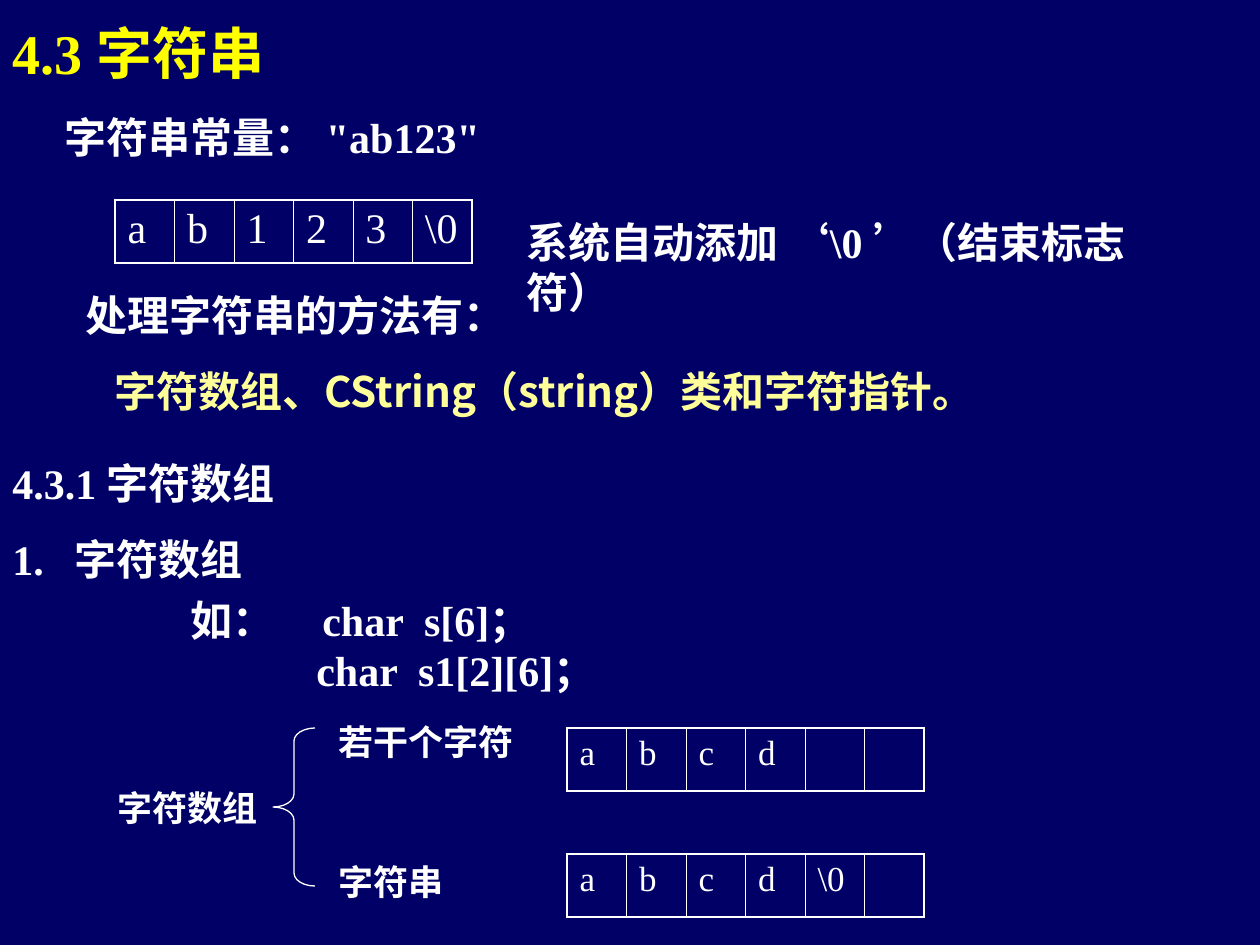
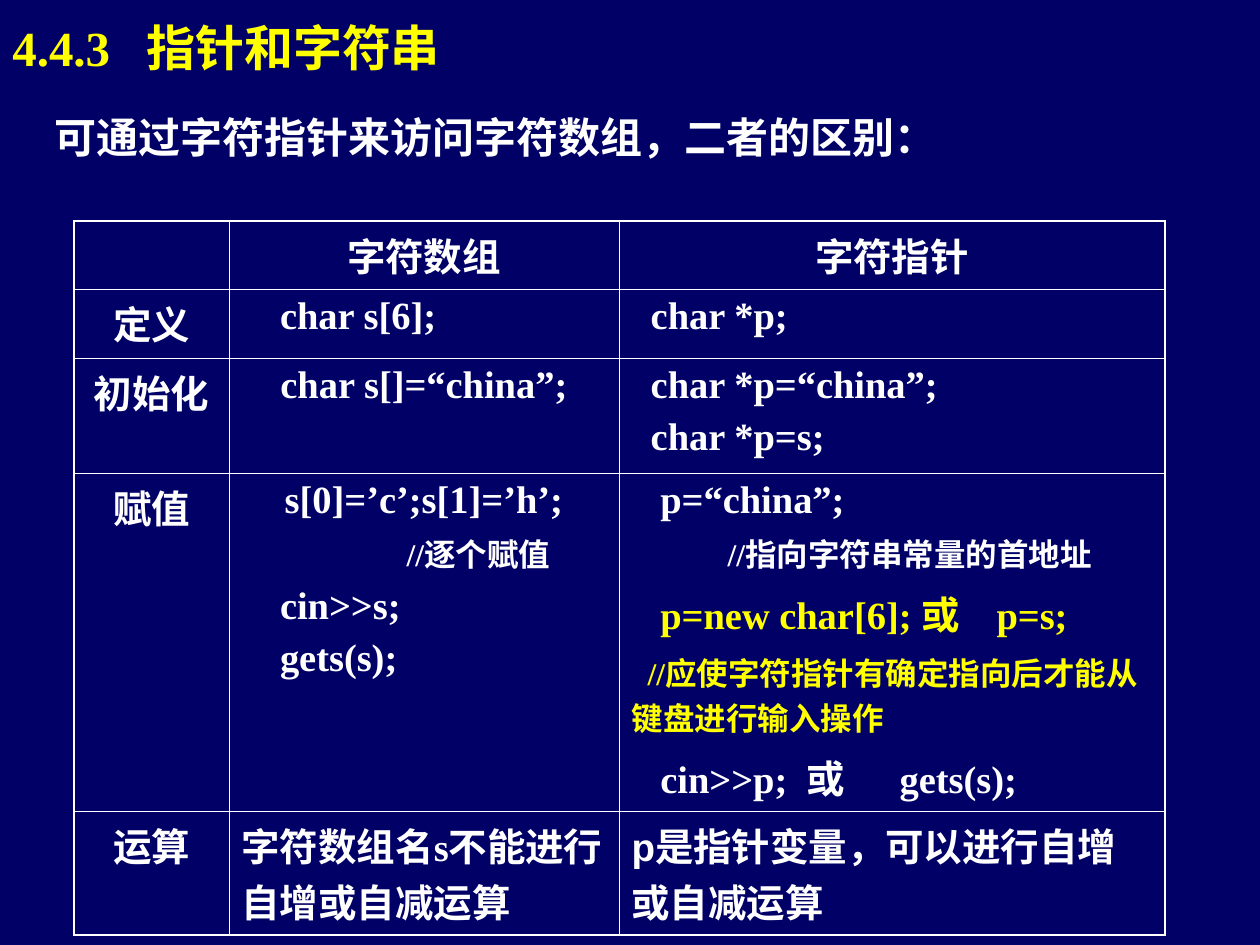
import collections

import lxml.etree
import pptx
import pptx.dml.color
import pptx.enum.shapes
import pptx.enum.text
import pptx.oxml.ns
import pptx.util

NAVY = pptx.dml.color.RGBColor(0x00, 0x00, 0x66)
WHITE = pptx.dml.color.RGBColor(0xFF, 0xFF, 0xFF)
YELLOW = pptx.dml.color.RGBColor(0xFF, 0xFF, 0x00)
PALE_YELLOW = pptx.dml.color.RGBColor(0xFF, 0xFF, 0x99)
SERIF = "Times New Roman"
HAN = "Noto Sans CJK SC"
SANS = "Arial"
EMU_PER_PX = 914400 / 126
OUTER_LINE = pptx.util.Pt(1.08)
INNER_LINE = pptx.util.Pt(0.45)
LEFT = pptx.enum.text.PP_ALIGN.LEFT
CENTER = pptx.enum.text.PP_ALIGN.CENTER
TOP = pptx.enum.text.MSO_ANCHOR.TOP
MIDDLE = pptx.enum.text.MSO_ANCHOR.MIDDLE

# runs is a list of (text, font); indent and first are px.
# With a hanging indent, a tab in the text jumps to the indent.
Para = collections.namedtuple(
    "Para", "runs size color before align indent first bold",
    defaults=(24, WHITE, 0, LEFT, 0, 0, True))


def px(length):
    return pptx.util.Emu(round(length * EMU_PER_PX))


def write(frame, paras):
    """Fill a text frame with Para records; the first gets no space before."""
    for number, para in enumerate(paras):
        paragraph = frame.add_paragraph() if number else frame.paragraphs[0]
        paragraph.alignment = para.align
        paragraph.space_before = pptx.util.Pt(para.before if number else 0)
        properties = paragraph._p.get_or_add_pPr()
        properties.set("marL", str(px(para.indent)))
        properties.set("indent", str(px(para.first)))
        for text, font in para.runs:
            span = paragraph.add_run()
            span.text = text
            span.font.size = pptx.util.Pt(para.size)
            span.font.bold = para.bold
            span.font.color.rgb = para.color
            span.font.name = font
            lxml.etree.SubElement(span._r.get_or_add_rPr(),
                                  pptx.oxml.ns.qn("a:ea"), typeface=HAN)


deck = pptx.Presentation()
deck.slide_width = px(1260)
deck.slide_height = px(945)
background = deck.slide_master.background.fill
background.solid()
background.fore_color.rgb = NAVY
strings_slide = deck.slides.add_slide(deck.slide_layouts[6])
pointers_slide = deck.slides.add_slide(deck.slide_layouts[6])

# Text: slide, (left, top, width, height), anchor, paragraphs
text_boxes = [
    (strings_slide, (0, 0, 1071, 105), MIDDLE,
     [Para([("4.3 ", SERIF), ("字符串", HAN)], 32, YELLOW)]),
    (strings_slide, (52, 105, 1144, 140), TOP,
     [Para([('字符串常量： "ab123"', SERIF)])]),
    (strings_slide, (514, 210, 693, 113), TOP,
     [Para([("系统自动添加 ‘\\0 ’（结束标志符）", SERIF)])]),
    (strings_slide, (73, 283, 1187, 140), TOP,
     [Para([("处理字符串的方法有：", HAN)]),
      Para([("字符数组、CString（string）类和字符指针。", HAN)],
           color=PALE_YELLOW, before=15, indent=29)]),
    (strings_slide, (0, 451, 1040, 140), TOP,
     [Para([("4.3.1 ", SERIF), ("字符数组", HAN)]),
      Para([("1.\t字符数组", SERIF)], before=15, indent=62, first=-62)]),
    (strings_slide, (178, 588, 935, 113), TOP,
     [Para([("如：\tchar  s[6]；", SERIF)], indent=132, first=-132),
      Para([("char  s1[2][6]；", SERIF)], indent=126)]),
    (strings_slide, (105, 780, 170, 55), TOP,
     [Para([("字符数组", SERIF)], 20)]),
    (strings_slide, (326, 714, 210, 55), TOP,
     [Para([("若干个字符", SERIF)], 20)]),
    (strings_slide, (326, 854, 140, 55), TOP,
     [Para([("字符串", SERIF)], 20)]),
    (pointers_slide, (0, 0, 1071, 94), MIDDLE,
     [Para([("4.4.3\t", SERIF), ("指针和字符串", HAN)], 28, YELLOW,
           indent=134, first=-134)]),
    (pointers_slide, (42, 105, 1071, 84), TOP,
     [Para([("可通过字符指针来访问字符数组，", HAN), ("二者的区别：", SERIF)])]),
]
for slide, bounds, anchor, paras in text_boxes:
    box = slide.shapes.add_textbox(*map(px, bounds))
    box.text_frame.word_wrap = True
    box.text_frame.vertical_anchor = anchor
    write(box.text_frame, paras)

brace = strings_slide.shapes.add_shape(
    pptx.enum.shapes.MSO_SHAPE.LEFT_BRACE, px(273), px(728), px(42), px(158))
brace.adjustments[0] = 0.31
brace.shadow.inherit = False
brace.fill.background()
brace.line.color.rgb = WHITE
brace.line.width = pptx.util.Pt(0.75)

# Tables: slide, (left, top), column widths, row heights, rows of cells
tables = []
for left, top, size, characters in [
    (115, 200, 24, ["a", "b", "1", "2", "3", "\\0"]),
    (567, 728, 20, ["a", "b", "c", "d", "", ""]),
    (567, 854, 20, ["a", "b", "c", "d", "\\0", ""]),
]:
    cells = [[Para([(character, SERIF)], size, bold=False)] if character else []
             for character in characters]
    tables.append((strings_slide, (left, top), [59.5] * 6, [63], [cells]))

headings = {name: [Para([(name, SERIF)], 22, align=CENTER)]
            for name in ["字符数组", "字符指针", "定义", "初始化", "赋值", "运算"]}
comparison = [
    [[], headings["字符数组"], headings["字符指针"]],
    [headings["定义"],
     [Para([("    char s[6];", SERIF)], 22)],
     [Para([("  char *p;", SERIF)], 22)]],
    [headings["初始化"],
     [Para([("char s[]=“china”;", SERIF)], 22, align=CENTER)],
     [Para([("  char *p=“china”;", SERIF)], 22),
      Para([("  char *p=s;", SERIF)], 22, before=5.5)]],
    [headings["赋值"],
     [Para([("s[0]=’c’;s[1]=’h’;", SERIF)], 22, align=CENTER),
      Para([("//逐个", SERIF), ("赋", HAN), ("值", SERIF)], 18, before=4.5, indent=165),
      Para([("    cin>>s;", SERIF)], 22, before=5.5),
      Para([("    gets(s);", SERIF)], 22, before=5.5)],
     [Para([("   p=“china”;", SERIF)], 22),
      Para([("//", SERIF), ("指向", SANS), ("字符串常量的首地址", HAN)],
           18, before=4.5, indent=96),
      Para([("   p=new char[6]; 或\tp=s;", SERIF)], 22, YELLOW, 5.5,
           indent=365, first=-365),
      Para([("//", SERIF), ("应使字符指针有确定指向后才能从键盘进行输入操作", HAN)],
           18, YELLOW, 4.5, first=16),
      Para([("   cin>>p;  或\tgets(s);", SERIF)], 22, before=5.5,
           indent=268, first=-268)]],
    [headings["运算"],
     [Para([("字符数组名", HAN), ("s", SERIF), ("不能进行自增或自减运算", HAN)], 22)],
     [Para([("p", SANS), ("是指针变量，可以进行自增或自减运算", HAN)], 22)]],
]
tables.append((pointers_slide, (74, 221), [155, 390, 546],
               [68, 69, 115, 338, 124], comparison))

for slide, (left, top), widths, heights, rows in tables:
    table = slide.shapes.add_table(len(heights), len(widths), px(left), px(top),
                                   px(sum(widths)), px(sum(heights))).table
    table.first_row = False
    table.horz_banding = False
    for column, width in zip(table.columns, widths):
        column.width = px(width)
    for row, height in zip(table.rows, heights):
        row.height = px(height)
    for row_number, row_cells in enumerate(rows):
        for column_number, paras in enumerate(row_cells):
            cell = table.cell(row_number, column_number)
            edges = {"a:lnL": column_number == 0,
                     "a:lnR": column_number == len(widths) - 1,
                     "a:lnT": row_number == 0,
                     "a:lnB": row_number == len(heights) - 1}
            for tag, is_outer in edges.items():
                line = lxml.etree.SubElement(
                    cell._tc.get_or_add_tcPr(), pptx.oxml.ns.qn(tag),
                    w=str(OUTER_LINE if is_outer else INNER_LINE))
                fill = lxml.etree.SubElement(line, pptx.oxml.ns.qn("a:solidFill"))
                lxml.etree.SubElement(fill, pptx.oxml.ns.qn("a:srgbClr"), val=str(WHITE))
            cell.fill.background()
            write(cell.text_frame, paras)

deck.save("out.pptx")
